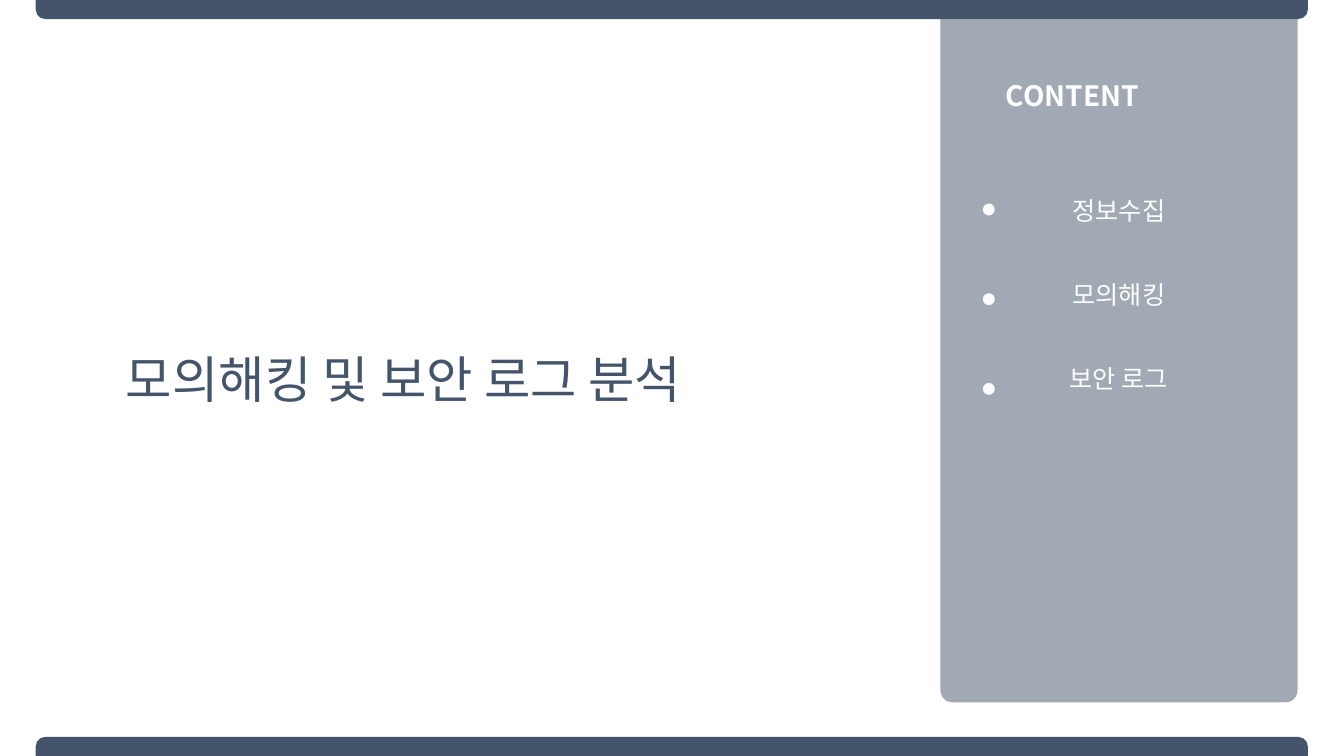
from dataclasses import dataclass

from lxml.etree import SubElement
from pptx import Presentation
from pptx.dml.color import RGBColor
from pptx.enum.shapes import MSO_SHAPE as Shape
from pptx.enum.text import MSO_ANCHOR as Anchor, MSO_AUTO_SIZE as AutoSize, PP_ALIGN as Align
from pptx.oxml.ns import qn
from pptx.util import Cm, Pt


@dataclass(frozen=True)
class Theme:
    font: str = "Noto Sans CJK KR"
    navy: RGBColor = RGBColor(0x44, 0x54, 0x6A)
    white: RGBColor = RGBColor(0xFF, 0xFF, 0xFF)
    title_size: int = 36
    heading_size: int = 20
    item_size: int = 18


class CoverSlide:
    def __init__(self, page, theme):
        self.page = page
        self.theme = theme

    def shape(self, kind, left, top, width, height, color, corners=(), opacity=100):
        box = self.page.shapes.add_shape(kind, Cm(left), Cm(top), Cm(width), Cm(height))
        box.shadow.inherit = False
        box.line.fill.background()
        box.fill.solid()
        box.fill.fore_color.rgb = color
        for index, corner in enumerate(corners):
            box.adjustments[index] = corner
        if opacity < 100:
            fill_color = box._element.spPr.find(qn("a:solidFill"))[0]
            SubElement(fill_color, qn("a:alpha"), val=str(opacity * 1000))
        return box

    def set_text(self, box, lines, size, color, align, bold=False, gap=0):
        """Fill a box with unbulleted paragraphs, gap points apart."""
        frame = box.text_frame
        frame.word_wrap = True
        frame.auto_size = AutoSize.NONE
        for index, line in enumerate(lines):
            para = frame.add_paragraph() if index else frame.paragraphs[0]
            para.alignment = align
            para.space_before = Pt(0)
            para.space_after = Pt(gap)
            properties = para._p.get_or_add_pPr()
            properties.set("marL", "0")
            properties.set("indent", "0")
            SubElement(properties, qn("a:buNone"))
            span = para.add_run()
            span.text = line
            span.font.name = self.theme.font
            span.font.size = Pt(size)
            span.font.bold = bold
            span.font.color.rgb = color
            SubElement(span._r.get_or_add_rPr(), qn("a:ea"), typeface=self.theme.font)

    def place(self, box, left, top, width, height, anchor):
        """Move a placeholder and bring it to the front."""
        box.left, box.top, box.width, box.height = Cm(left), Cm(top), Cm(width), Cm(height)
        box.text_frame.vertical_anchor = anchor
        self.page.shapes._spTree.append(box._element)

    def title(self, text, *area):
        box = self.page.shapes.title
        self.place(box, *area, Anchor.MIDDLE)
        self.set_text(box, [text], self.theme.title_size, self.theme.navy, Align.LEFT)

    def items(self, lines, *area, gap):
        box = self.page.placeholders[1]
        self.place(box, *area, Anchor.TOP)
        box.text_frame.margin_top = 0
        self.set_text(box, lines, self.theme.item_size, self.theme.white, Align.CENTER, gap=gap)

    def heading(self, text, left, top, width, height):
        box = self.page.shapes.add_textbox(Cm(left), Cm(top), Cm(width), Cm(height))
        self.set_text(box, [text], self.theme.heading_size, self.theme.white, Align.LEFT, bold=True)

    def bar(self, top, rotation=0):
        box = self.shape(Shape.ROUND_2_SAME_RECTANGLE, 0.9, top, 32.06, 0.48,
                         self.theme.navy, (0.5, 0))
        box.rotation = rotation


def main():
    deck = Presentation()
    deck.slide_width, deck.slide_height = Cm(33.87), Cm(19.05)
    theme = Theme()
    cover = CoverSlide(deck.slides.add_slide(deck.slide_layouts[1]), theme)
    topics = ["정보수집", "모의해킹", "보안 로그"]

    cover.shape(Shape.ROUNDED_RECTANGLE, 23.7, 0, 9, 17.7, theme.navy, (0.034,), opacity=50)
    cover.bar(0, rotation=180)
    cover.bar(18.57)
    cover.heading("CONTENT", 25.1, 1.85, 6.78, 1.12)
    for row in range(len(topics)):
        cover.shape(Shape.OVAL, 24.77, 5.13 + 2.26 * row, 0.3, 0.3, theme.white)
    cover.items(topics, 23.7, 4.92, 9, 7, gap=38.5)
    cover.title("모의해킹 및 보안 로그 분석", 2.92, 8.64, 17.12, 1.8)
    deck.save("out.pptx")


if __name__ == "__main__":
    main()
